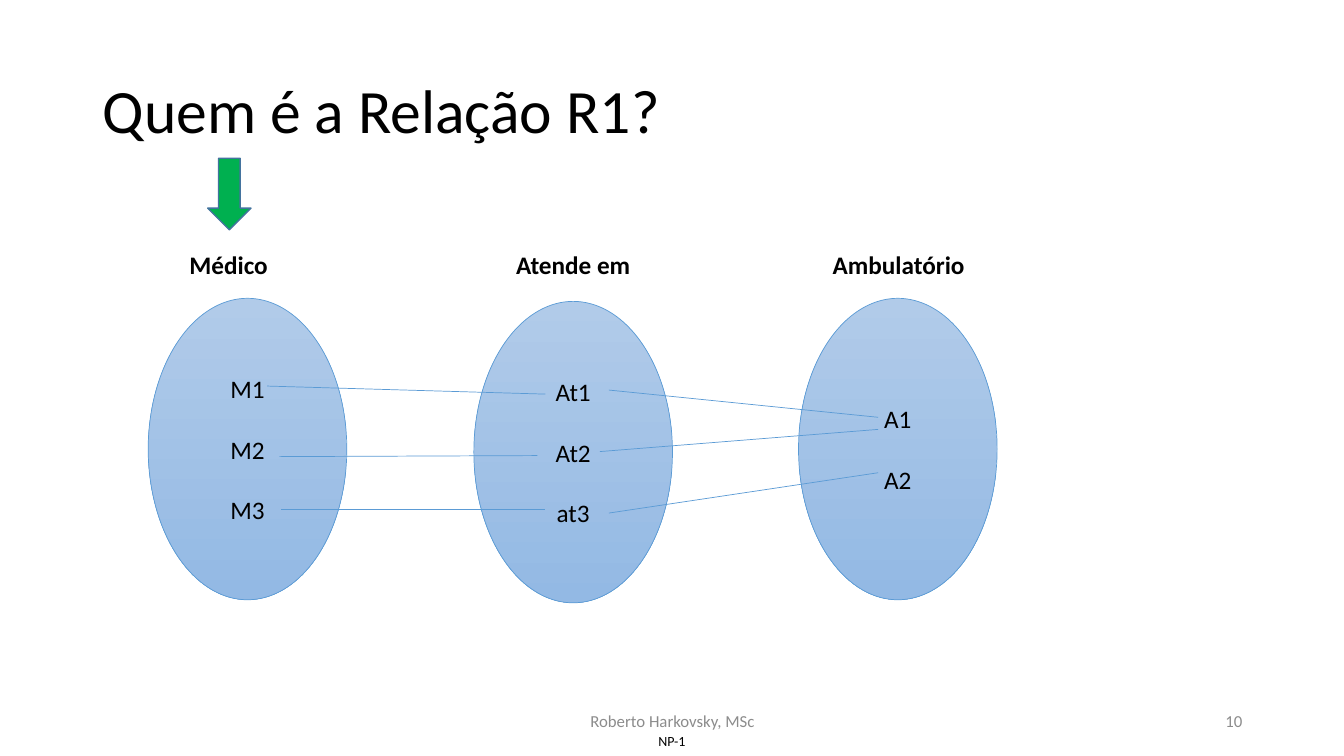
from pptx import Presentation
from pptx.dml.color import RGBColor
from pptx.enum.shapes import MSO_CONNECTOR, MSO_SHAPE
from pptx.enum.text import MSO_ANCHOR, MSO_AUTO_SIZE, PP_ALIGN
from pptx.oxml.ns import qn
from pptx.util import Inches, Pt
from lxml import etree

LEFT, CENTER, RIGHT = PP_ALIGN.LEFT, PP_ALIGN.CENTER, PP_ALIGN.RIGHT
TOP, MIDDLE = MSO_ANCHOR.TOP, MSO_ANCHOR.MIDDLE
OVAL, ARROW = MSO_SHAPE.OVAL, MSO_SHAPE.DOWN_ARROW
STRAIGHT = MSO_CONNECTOR.STRAIGHT
FIXED = MSO_AUTO_SIZE.NONE
BLACK, GRAY, BLUE = "000000", "8C8C8C", "5B9BD5"


def color(code):
    """Turn a hex string into a colour."""
    return RGBColor.from_string(code)


class Board:
    """Holds the style and the current slide."""

    font = "Calibri"

    def __init__(self, slide):
        """Keep the slide to draw on."""
        self.slide = slide
        self.shapes = slide.shapes

    def fill_text(self, frame, lines, size, tint=BLACK, align=LEFT, bold=False,
                  gap=0):
        """Fill a text frame, one paragraph a line, with a gap between."""
        frame.text = "\n".join(lines)
        for i, para in enumerate(frame.paragraphs):
            para.alignment = align
            para.space_before = Pt(gap if i else 0)
            font = para.font
            font.name, font.size, font.bold = self.font, Pt(size), bold
            font.color.rgb = color(tint)

    def title(self, text, x, y, w, h):
        """Place and format the title placeholder."""
        head = self.shapes.title
        head.left, head.top, head.width, head.height = map(Inches, (x, y, w, h))
        frame = head.text_frame
        frame.auto_size, frame.vertical_anchor = FIXED, MIDDLE
        self.fill_text(frame, [text], 44)
        frame.paragraphs[0].line_spacing = 0.9

    def label(self, text, x, y, w, h, size, anchor=MIDDLE, wrap=True,
              inset=None, **style):
        """Add a text box."""
        frame = self.shapes.add_textbox(*map(Inches, (x, y, w, h))).text_frame
        frame.word_wrap, frame.vertical_anchor = wrap, anchor
        if inset is not None:
            frame.margin_left = frame.margin_right = Inches(inset)
            frame.margin_top = frame.margin_bottom = Inches(inset)
        self.fill_text(frame, [text], size, **style)

    def shape(self, kind, x, y, w, h, edge, weight):
        """Add an outlined preset shape without shadow."""
        item = self.shapes.add_shape(kind, *map(Inches, (x, y, w, h)))
        item.shadow.inherit = False
        item.line.color.rgb, item.line.width = color(edge), Pt(weight)
        return item

    def oval(self, items, x, y):
        """Add a shaded set with its members."""
        item = self.shape(OVAL, x, y, 1.97, 2.99, BLUE, 0.5)
        item.fill.gradient()
        item.fill.gradient_angle = 270
        for stop, tint in zip(item.fill.gradient_stops, ("B1CBE9", "93B9E4")):
            stop.color.rgb = color(tint)
        item.text_frame.vertical_anchor = MIDDLE
        self.fill_text(item.text_frame, items, 18, align=CENTER, gap=21.6)

    def arrow(self, x, y, w, h):
        """Add the green down arrow."""
        item = self.shape(ARROW, x, y, w, h, "43739E", 1)
        item.fill.solid()
        item.fill.fore_color.rgb = color("00B050")

    def link(self, *ends):
        """Join two members with a thin line."""
        line = self.shapes.add_connector(STRAIGHT, *map(Inches, ends))
        line.line.color.rgb, line.line.width = color(BLUE), Pt(0.5)
        etree.SubElement(line._element.spPr, qn("a:effectLst"))


deck = Presentation()
deck.slide_width, deck.slide_height = Inches(13.33), Inches(7.5)
board = Board(deck.slides.add_slide(deck.slide_layouts[5]))

board.title("Quem é a Relação R1?", 0.92, 0.4, 11.5, 1.45)
board.label("NP-1", 6.38, 7.21, 0.57, 0.29, 10, inset=0, align=CENTER)
board.label("Roberto Harkovsky, MSc", 4.42, 6.95, 4.5, 0.4, 12,
            tint=GRAY, align=CENTER)
board.label("10", 9.42, 6.95, 3, 0.4, 12, tint=GRAY, align=RIGHT)

SETS = [
    ("Médico", 1.78, 0.98, ["M1", "M2", "M3"], 1.47, 2.96),
    ("Atende em", 5.02, 1.34, ["At1", "At2", "at3"], 4.7, 2.99),
    ("Ambulatório", 8.16, 1.52, ["A1", "A2"], 7.92, 2.96),
]
for name, x, width, items, left, top in SETS:
    board.oval(items, left, top)
    board.label(name, x, 2.42, width, 0.4, 18, anchor=TOP, wrap=False, bold=True)

LINKS = [
    (2.65, 3.83, 5.41, 3.91),
    (2.77, 4.53, 5.33, 4.52),
    (2.79, 5.05, 5.41, 5.05),
    (6.04, 3.87, 8.71, 4.14),
    (5.95, 4.48, 8.71, 4.26),
    (6.04, 5.09, 8.71, 4.69),
]
for ends in LINKS:
    board.link(*ends)

board.arrow(2.06, 1.57, 0.43, 0.71)

deck.save("out.pptx")
